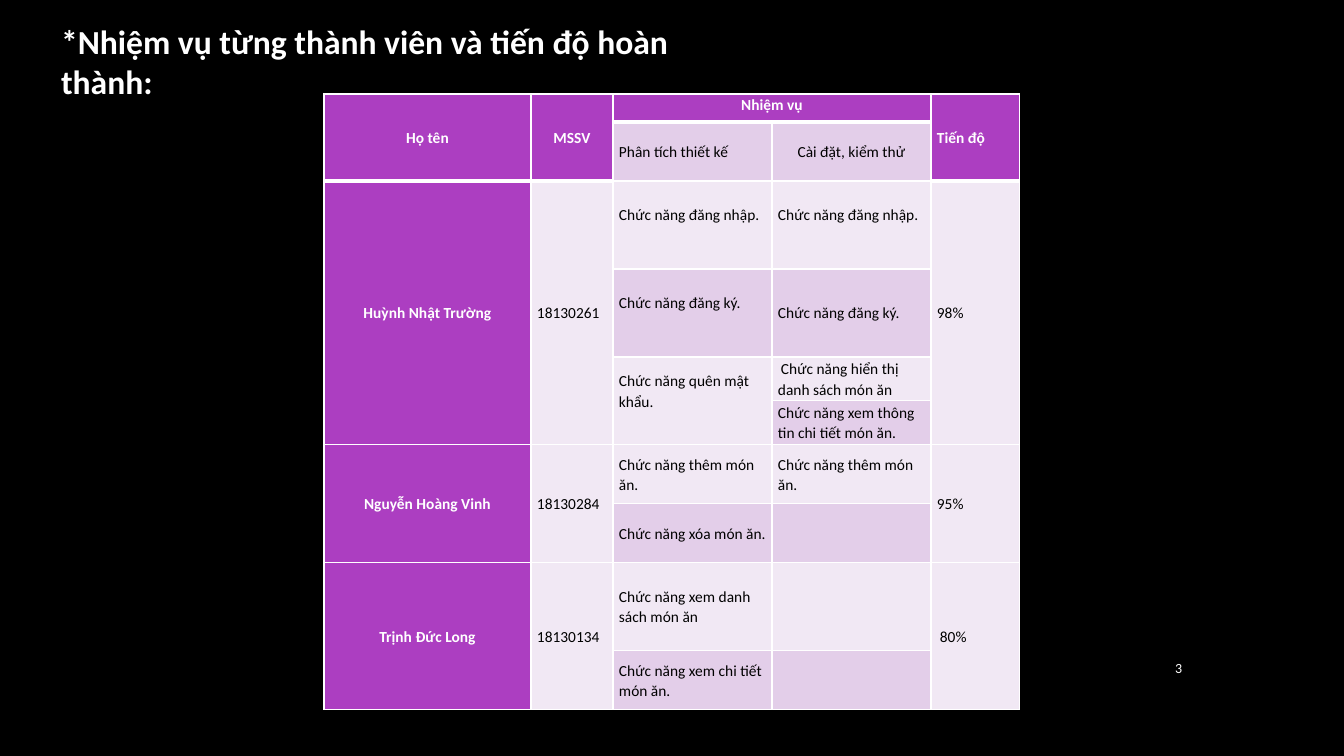
from lxml import etree
from pptx import Presentation
from pptx import util as u
from pptx.dml.color import RGBColor
from pptx.enum import text as t
from pptx.oxml.ns import qn

PX = 914400 / 100.8
HUES = {"back": "000000", "white": "FFFFFF", "black": "000000",
        "head": "AC3EC1", "odd": "E3CEE9", "even": "F1E8F4"}
COLS = [207, 82, 159, 159, 89]
ROWS = [28, 59, 88, 88, 44, 44, 59, 59, 88, 59]
LINE = 20    # height of one text line
SPACE = 3    # small indent before a first line
# row, column, rows down, columns across, text
CELLS = [
    (0, 0, 2, 1, "Họ tên"), (0, 1, 2, 1, "MSSV"),
    (0, 2, 1, 2, "Nhiệm vụ"), (0, 4, 2, 1, "Tiến độ"),
    (1, 2, 1, 1, "Phân tích thiết kế"), (1, 3, 1, 1, "Cài đặt, kiểm thử"),
    (2, 0, 4, 1, "Huỳnh Nhật Trường"), (2, 1, 4, 1, "18130261"),
    (2, 2, 1, 1, "Chức năng đăng nhập."), (2, 3, 1, 1, "Chức năng đăng nhập."),
    (2, 4, 4, 1, "98%"),
    (3, 2, 1, 1, "Chức năng đăng ký."), (3, 3, 1, 1, "Chức năng đăng ký."),
    (4, 2, 2, 1, "Chức năng quên mật khẩu."),
    (4, 3, 1, 1, "Chức năng hiển thị danh sách món ăn"),
    (5, 3, 1, 1, "Chức năng xem thông tin chi tiết món ăn."),
    (6, 0, 2, 1, "Nguyễn Hoàng Vinh"), (6, 1, 2, 1, "18130284"),
    (6, 2, 1, 1, "Chức năng thêm món ăn."), (6, 3, 1, 1, "Chức năng thêm món ăn."),
    (6, 4, 2, 1, "95%"),
    (7, 2, 1, 1, "Chức năng xóa món ăn."),
    (8, 0, 2, 1, "Trịnh Đức Long"), (8, 1, 2, 1, "18130134"),
    (8, 2, 1, 1, "Chức năng xem danh sách món ăn"), (8, 4, 2, 1, "80%"),
    (9, 2, 1, 1, "Chức năng xem chi tiết món ăn."),
]
CENTRED = {(0, 1), (0, 2), (1, 3)}
RAISED = {(2, 2), (2, 3), (3, 2), (4, 2)}
INDENTED = {(4, 3), (8, 4)}


def px(n):
    return u.Emu(round(n * PX))


def write(par, words, size, hue, bold=False):
    run = par.add_run()
    run.text = words
    run.font.name = "Calibri"
    run.font.size = u.Pt(size)
    run.font.bold = bold
    run.font.color.rgb = RGBColor.from_string(HUES[hue])


deck = Presentation()
deck.slide_width, deck.slide_height = px(1344), px(756)
slide = deck.slides.add_slide(deck.slide_layouts[5])
slide.background.fill.solid()
slide.background.fill.fore_color.rgb = RGBColor.from_string(HUES["back"])

# Table grid, fills and borders
frame = slide.shapes.add_table(len(ROWS), len(COLS), px(324), px(94),
                               px(sum(COLS)), px(sum(ROWS)))
table = frame.table
table.first_row = table.horz_banding = False
for col, wide in zip(table.columns, COLS):
    col.width = px(wide)
for row, high in zip(table.rows, ROWS):
    row.height = px(high)

for r in range(len(ROWS)):
    for c in range(len(COLS)):
        cell = table.cell(r, c)
        props = cell._tc.get_or_add_tcPr()
        for side in "LRTB":
            above = {"T": r - 1, "B": r}.get(side)
            thick = above == 0 or (above == 1 and c in (0, 1, 4))
            line = etree.SubElement(props, qn("a:ln" + side),
                                    w=str(u.Pt(3 if thick else 1)))
            fill = etree.SubElement(line, qn("a:solidFill"))
            etree.SubElement(fill, qn("a:srgbClr"), val=HUES["white"])
        head = r == 0 or c == 0 or (r == 1 and c in (1, 4))
        band = "even" if c in (1, 4) or r % 2 == 0 else "odd"
        cell.fill.solid()
        cell.fill.fore_color.rgb = RGBColor.from_string(HUES["head" if head else band])
        cell.margin_left = cell.margin_right = px(6)
        cell.margin_top = cell.margin_bottom = 0
        cell.text_frame.paragraphs[0].font.size = u.Pt(11)

# Table wording
for r, c, down, across, words in CELLS:
    cell = table.cell(r, c)
    if down * across > 1:
        cell.merge(table.cell(r + down - 1, c + across - 1))
    if (r, c) != (0, 2):
        cell.vertical_anchor = t.MSO_ANCHOR.MIDDLE
    if (r, c) in RAISED:
        cell.margin_bottom = px(LINE)
    par = cell.text_frame.paragraphs[0]
    par.line_spacing = 1.07
    if c == 0 or (r, c) in CENTRED:
        par.alignment = t.PP_ALIGN.CENTER
    if (r, c) in INDENTED:
        par._p.get_or_add_pPr().set("indent", str(px(SPACE)))
    head = r == 0 or c == 0
    write(par, words, 11, "white" if head else "black", head)

# Title
title = slide.shapes.title
title.left, title.top, title.width, title.height = px(51), px(36), px(696), px(50)
body = title.text_frame
body.word_wrap = True
body.auto_size = t.MSO_AUTO_SIZE.NONE
body.vertical_anchor = t.MSO_ANCHOR.MIDDLE
body.paragraphs[0].alignment = t.PP_ALIGN.LEFT
write(body.paragraphs[0], "*Nhiệm vụ từng thành viên và tiến độ hoàn thành:", 24, "white", True)

# Page number
page = slide.shapes.add_textbox(px(1132), px(647), px(60), px(41)).text_frame
page.word_wrap = True
page.vertical_anchor = t.MSO_ANCHOR.MIDDLE
page.paragraphs[0].alignment = t.PP_ALIGN.RIGHT
write(page.paragraphs[0], "3", 10, "white")

deck.save("out.pptx")
